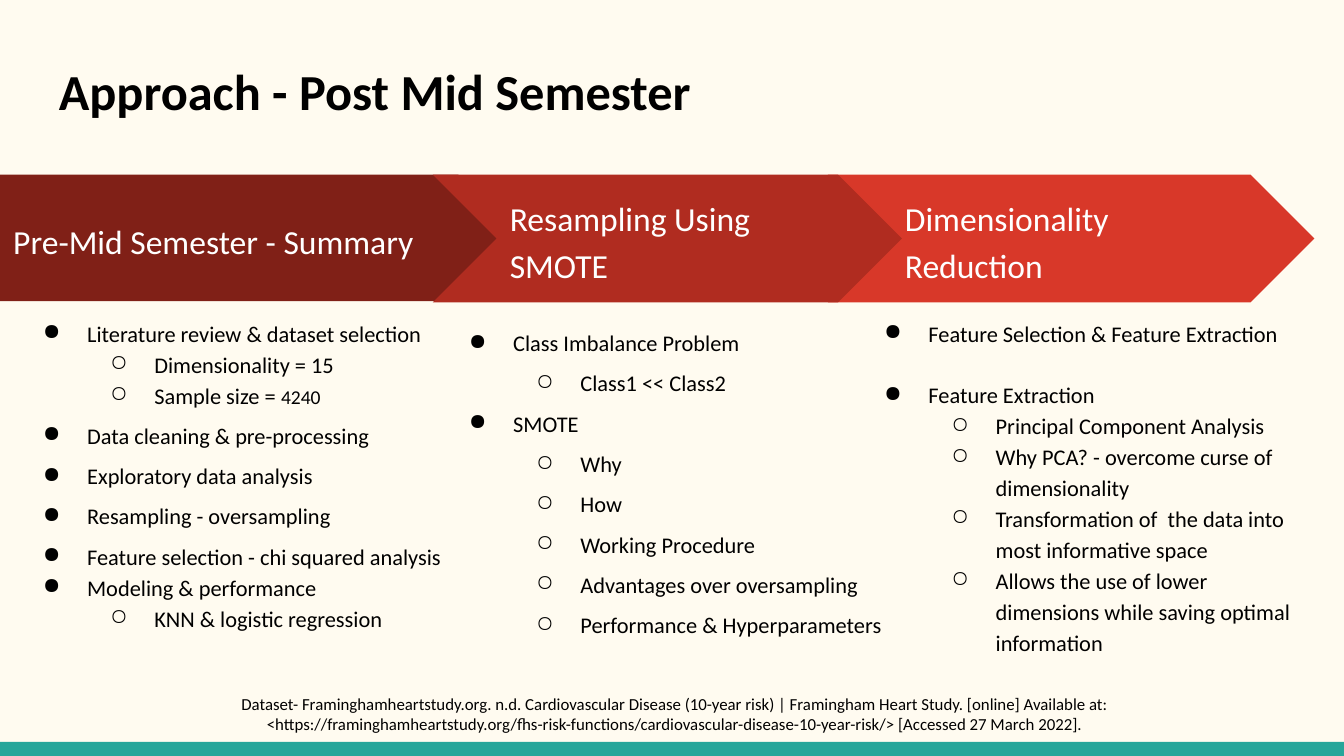
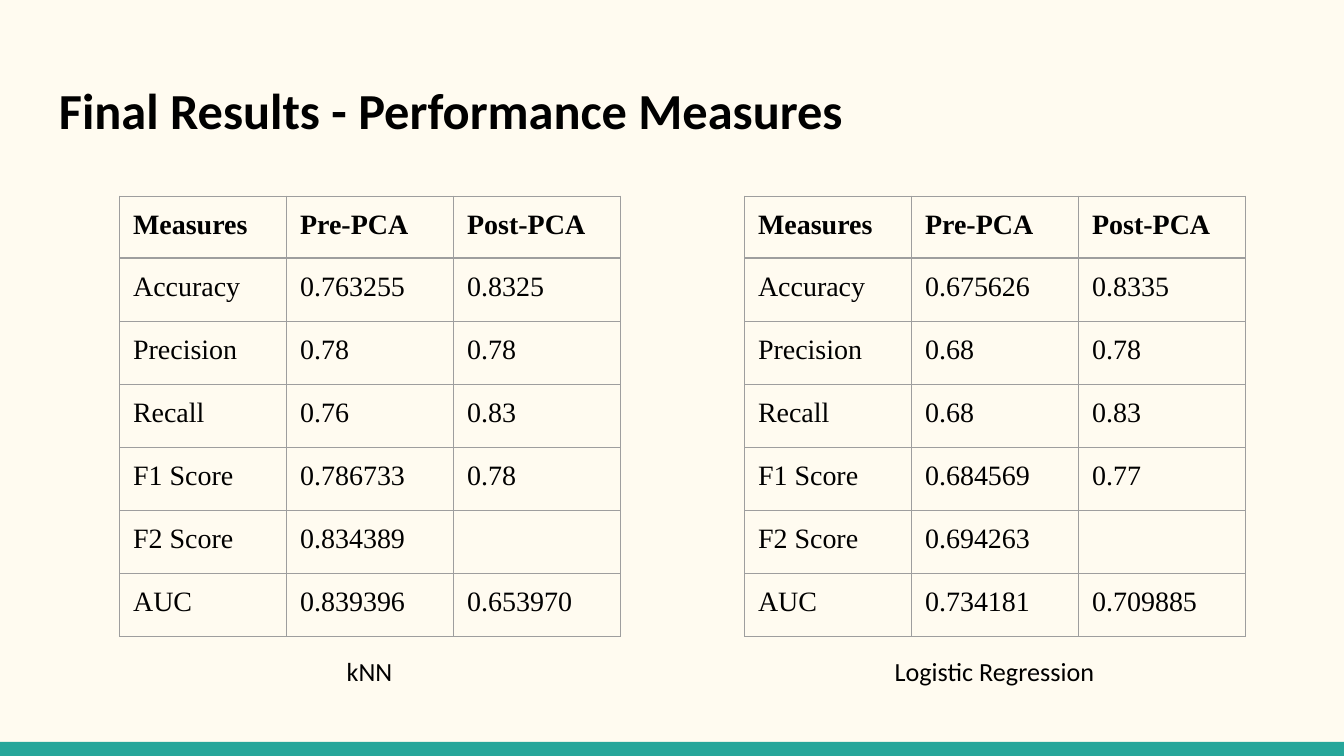
from lxml import etree
from pptx import Presentation
from pptx.dml.color import RGBColor
from pptx.enum.shapes import MSO_SHAPE
from pptx.enum.text import MSO_ANCHOR, PP_ALIGN
from pptx.oxml.ns import qn
from pptx.util import Inches, Pt

CREAM = RGBColor(0xFF, 0xFB, 0xF0)
TEAL = RGBColor(0x26, 0xA6, 0x9A)
BLACK = RGBColor(0x00, 0x00, 0x00)
WHITE = RGBColor(0xFF, 0xFF, 0xFF)
GREY = RGBColor(0x9E, 0x9E, 0x9E)
DARK_RED = RGBColor(0x80, 0x20, 0x17)
MID_RED = RGBColor(0xB0, 0x2C, 0x20)
BRIGHT_RED = RGBColor(0xD8, 0x38, 0x29)

RECT, PENTAGON, CHEVRON = MSO_SHAPE.RECTANGLE, MSO_SHAPE.PENTAGON, MSO_SHAPE.CHEVRON
LEFT, CENTER = PP_ALIGN.LEFT, PP_ALIGN.CENTER
TOP, MIDDLE = MSO_ANCHOR.TOP, MSO_ANCHOR.MIDDLE

WIDTH, HEIGHT = Inches(10), Inches(5.625)
COLS, ROWS = 100, 56.25  # square grid cells over the whole slide
PAD = Inches(0.1)
SANS, SERIF = "Calibri", "Times New Roman"
BULLETS = "\u25cf\u25cb"
TIGHT, LOOSE = 1.15, 1.5
LINE_GAP = 16.5  # points, one line of body text

FORMATS = {
    "title": {"name": SANS, "size": Pt(27), "bold": True},
    "step": {"name": SANS, "size": Pt(18)},
    "body": {"name": SANS, "size": Pt(12)},
    "small": {"name": SANS, "size": Pt(10.5)},
    "source": {"name": SANS, "size": Pt(9)},
    "caption": {"name": SANS, "size": Pt(14)},
    "head": {"name": SERIF, "size": Pt(15), "bold": True},
    "cell": {"name": SERIF, "size": Pt(15), "bold": False},
}


def col(n):
    """Length of n grid columns."""
    return int(WIDTH * n / COLS)


def row(n):
    """Length of n grid rows."""
    return int(HEIGHT * n / ROWS)


def set_all(obj, values):
    """Set each attribute of obj from a dict."""
    for name, value in values.items():
        setattr(obj, name, value)


class Deck:
    """Shared style and the slide being built."""

    def __init__(self):
        """Start an empty widescreen presentation."""
        self.prs = Presentation()
        set_all(self.prs, {"slide_width": WIDTH, "slide_height": HEIGHT})
        self.slide = None

    def new_slide(self, title, y):
        """Add a slide with background, bottom band and title."""
        self.slide = self.prs.slides.add_slide(self.prs.slide_layouts[6])
        fill = self.slide.background.fill
        fill.solid()
        fill.fore_color.rgb = CREAM
        self.shape(RECT, 0, 55.2, 100, 1.05, TEAL)
        self.text(title, "title", 3.4, y, 93.2, 6.7)

    def frame(self, sp, anchor=TOP):
        """Set wrapping, padding and anchor; return the text frame."""
        tf = sp.text_frame
        set_all(tf, {"word_wrap": True, "vertical_anchor": anchor,
                     "margin_left": PAD, "margin_right": PAD,
                     "margin_top": PAD, "margin_bottom": PAD})
        return tf

    def run(self, p, text, style, color=BLACK):
        """Add a run in a named style."""
        r = p.add_run()
        r.text = text
        set_all(r.font, FORMATS[style])
        r.font.color.rgb = color

    def box(self, x, y, w, h):
        """Add an empty text box and return its frame."""
        return self.frame(self.slide.shapes.add_textbox(col(x), row(y), col(w), row(h)))

    def text(self, text, style, x, y, w, h, align=LEFT):
        """Add a text box of one paragraph."""
        p = self.box(x, y, w, h).paragraphs[0]
        p.alignment = align
        self.run(p, text, style)

    def shape(self, kind, x, y, w, h, color):
        """Add a plain filled shape."""
        sp = self.slide.shapes.add_shape(kind, col(x), row(y), col(w), row(h))
        sp.shadow.inherit = False
        sp.fill.solid()
        sp.fill.fore_color.rgb = color
        sp.line.fill.background()
        return sp

    def step(self, kind, text, x, w, h, color):
        """Add one arrow of the process row."""
        sp = self.shape(kind, x, 13, w, h, color)
        sp.adjustments[0] = 0.5
        p = self.frame(sp, MIDDLE).paragraphs[0]
        set_all(p, {"alignment": LEFT, "line_spacing": TIGHT, "space_after": Pt(12)})
        self.run(p, text, "step", WHITE)

    def bullets(self, items, x, h):
        """Add a two-level list of (level, spacing, gap before, runs)."""
        tf = self.box(x, 22.5, 34.9, h)
        for i, (level, spacing, gap, runs) in enumerate(items):
            p = tf.add_paragraph() if i else tf.paragraphs[0]
            set_all(p, {"level": level, "line_spacing": spacing, "space_before": Pt(gap)})
            pPr = p._p.get_or_add_pPr()
            pPr.set("marL", str(Inches(0.5 * (level + 1))))
            pPr.set("indent", str(-Inches(0.33)))
            clr = etree.SubElement(pPr, qn("a:buClr"))
            etree.SubElement(clr, qn("a:srgbClr"), val=str(BLACK))
            etree.SubElement(pPr, qn("a:buChar"), char=BULLETS[level])
            for text, style in runs:
                self.run(p, text, style)

    def border(self, cell):
        """Draw a thin grey line on all sides of a cell."""
        tcPr = cell._tc.get_or_add_tcPr()
        for i, side in enumerate(("lnL", "lnR", "lnT", "lnB")):
            ln = etree.Element(qn("a:" + side), w=str(Pt(0.75)))
            fill = etree.SubElement(ln, qn("a:solidFill"))
            etree.SubElement(fill, qn("a:srgbClr"), val=str(GREY))
            tcPr.insert(i, ln)

    def table(self, data, x, y):
        """Add a bordered table with a bold first row."""
        n, m = len(data), len(data[0])
        w, heights = 12.43, [4.6] + [4.7] * (n - 1)
        tbl = self.slide.shapes.add_table(
            n, m, col(x), row(y), col(w * m), row(sum(heights))).table
        set_all(tbl, {"first_row": False, "horz_banding": False})
        for c in tbl.columns:
            c.width = col(w)
        for i, values in enumerate(data):
            tbl.rows[i].height = row(heights[i])
            for j, value in enumerate(values):
                cell = tbl.cell(i, j)
                set_all(cell, {"margin_left": PAD, "margin_right": PAD,
                               "margin_top": PAD, "margin_bottom": PAD})
                cell.fill.background()
                self.border(cell)
                p = cell.text_frame.paragraphs[0]
                if value:
                    self.run(p, value, "cell" if i else "head")
                else:
                    etree.SubElement(p._p, qn("a:endParaRPr"), sz="1500")


def item(level, spacing, text, gap=0):
    """One list entry in body style."""
    return level, spacing, gap, [(text, "body")]


SUMMARY = [
    item(0, TIGHT, "Literature review & dataset selection"),
    item(1, TIGHT, "Dimensionality = 15"),
    (1, TIGHT, 0, [("Sample size = ", "body"), ("4240", "small")]),
    item(0, LOOSE, "Data cleaning & pre-processing"),
    item(0, LOOSE, "Exploratory data analysis"),
    item(0, LOOSE, "Resampling - oversampling"),
    item(0, LOOSE, "Feature selection - chi squared analysis"),
    item(0, TIGHT, "Modeling & performance"),
    item(1, TIGHT, "KNN & logistic regression"),
]
RESAMPLING = [item(level, LOOSE, text) for level, text in (
    (0, "Class Imbalance Problem"),
    (1, "Class1 << Class2"),
    (0, "SMOTE"),
    (1, "Why"),
    (1, "How"),
    (1, "Working Procedure"),
    (1, "Advantages over oversampling"),
    (1, "Performance & Hyperparameters"),
)]
REDUCTION = [
    item(0, TIGHT, "Feature Selection & Feature Extraction"),
    item(0, TIGHT, "Feature Extraction", LINE_GAP),
    item(1, TIGHT, "Principal Component Analysis"),
    item(1, TIGHT, "Why PCA? - overcome curse of dimensionality"),
    item(1, TIGHT, "Transformation of  the data into most informative space"),
    item(1, TIGHT, "Allows the use of lower dimensions while saving optimal information"),
]
SOURCE = ("Dataset- Framinghamheartstudy.org. n.d. Cardiovascular Disease (10-year risk) | "
          "Framingham Heart Study. [online] Available at: "
          "<https://framinghamheartstudy.org/fhs-risk-functions/"
          "cardiovascular-disease-10-year-risk/> [Accessed 27 March 2022].")

HEADER = ("Measures", "Pre-PCA", "Post-PCA")
MEASURES = ("Accuracy", "Precision", "Recall", "F1 Score", "F2 Score", "AUC")
RESULTS = {
    "kNN": (("0.763255", "0.78", "0.76", "0.786733", "0.834389", "0.839396"),
            ("0.8325", "0.78", "0.83", "0.78", "", "0.653970")),
    "Logistic Regression": (
        ("0.675626", "0.68", "0.68", "0.684569", "0.694263", "0.734181"),
        ("0.8335", "0.78", "0.83", "0.77", "", "0.709885")),
}


def approach(deck):
    """Process row with a list under each step."""
    deck.new_slide("Approach - Post Mid Semester", 3.5)
    deck.step(CHEVRON, "Dimensionality Reduction", 61.6, 36.2, 9.5, BRIGHT_RED)
    deck.step(PENTAGON, "Pre-Mid Semester - Summary", 0, 38.8, 9.4, DARK_RED)
    deck.step(CHEVRON, "Resampling Using SMOTE", 32.2, 34.9, 9.5, MID_RED)
    for items, x, h in ((SUMMARY, 0.5, 30.9), (RESAMPLING, 32.2, 30.9),
                        (REDUCTION, 63.1, 32.2)):
        deck.bullets(items, x, h)
    deck.text(SOURCE, "source", 0.3, 50.6, 99.7, 5, CENTER)


def results(deck):
    """Two captioned tables side by side."""
    deck.new_slide("Final Results - Performance Measures", 4.9)
    for i, (model, (pre, post)) in enumerate(RESULTS.items()):
        x = 8.9 + 46.5 * i
        deck.table([HEADER, *zip(MEASURES, pre, post)], x, 14.6)
        deck.text(model, "caption", x + 3.4, 47.8, 30.4, 4.4, CENTER)


def main():
    """Build and save the deck."""
    deck = Deck()
    approach(deck)
    results(deck)
    deck.prs.save("out.pptx")


main()
